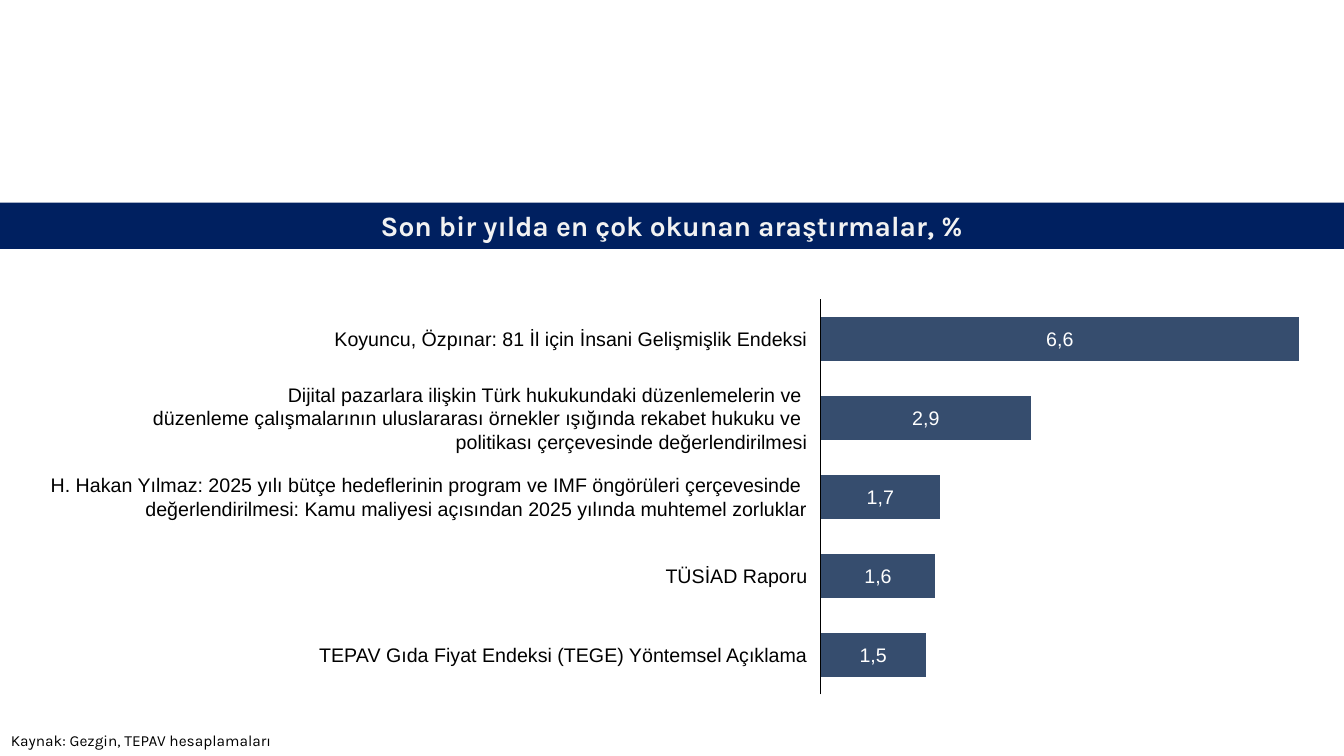
from lxml.etree import SubElement
from pptx import Presentation
from pptx.chart.data import CategoryChartData
from pptx.dml.color import RGBColor
from pptx.enum.chart import XL_CHART_TYPE, XL_TICK_LABEL_POSITION, XL_TICK_MARK
from pptx.enum.shapes import MSO_SHAPE
from pptx.enum.text import MSO_ANCHOR, MSO_AUTO_SIZE, PP_ALIGN
from pptx.oxml import parse_xml
from pptx.oxml.ns import nsdecls, qn
from pptx.util import Inches, Pt

NAVY = RGBColor(0x00, 0x20, 0x60)
SLATE = RGBColor(0x36, 0x4D, 0x6E)
PALE = RGBColor(0xF2, 0xF2, 0xF2)
WHITE = RGBColor(0xFF, 0xFF, 0xFF)
BLACK = RGBColor(0x00, 0x00, 0x00)

LEFT, TOP, WIDTH, HEIGHT = 8.05, 2.88, 4.93, 4.1
PLOT = {"x": 0.018, "y": 0.022, "w": 0.963, "h": 0.956}
LINE = 0.235
EDGE = 8.01
STUDIES = [
    ("Koyuncu, Özpınar: 81 İl için İnsani Gelişmişlik Endeksi", 4.67, 100, "6,6"),
    ("Dijital pazarlara ilişkin Türk hukukundaki düzenlemelerin ve \n"
     "düzenleme çalışmalarının uluslararası örnekler ışığında rekabet hukuku ve \n"
     "politikası çerçevesinde değerlendirilmesi", 6.45, 44, "2,9"),
    ("H. Hakan Yılmaz: 2025 yılı bütçe hedeflerinin program ve IMF öngörüleri çerçevesinde \n"
     "değerlendirilmesi: Kamu maliyesi açısından 2025 yılında muhtemel zorluklar",
     7.47, 25, "1,7"),
    ("TÜSİAD Raporu", 1.4, 24, "1,6"),
    ("TEPAV Gıda Fiyat Endeksi (TEGE) Yöntemsel Açıklama", 4.87, 22, "1,5"),
]


def write(frame, text, size=14, font="Arial", color=BLACK, bold=False,
          align=PP_ALIGN.LEFT, anchor=MSO_ANCHOR.MIDDLE, wrap=False, inset=None):
    """Fill a text frame with one formatted paragraph."""
    frame.auto_size = MSO_AUTO_SIZE.NONE
    frame.word_wrap = wrap
    frame.vertical_anchor = anchor
    if inset is not None:
        frame.margin_left = frame.margin_right = Inches(inset)
        frame.margin_top = frame.margin_bottom = Inches(0)
    para = frame.paragraphs[0]
    para.alignment = align
    for index, line in enumerate(text.split("\n")):
        if index:
            para.add_line_break()
        run = para.add_run()
        run.text = line
        run.font.size, run.font.name, run.font.bold = Pt(size), font, bold
        run.font.color.rgb = color


def add_text(slide, box, text, **style):
    """Add a text box at the given left, top, width and height."""
    shape = slide.shapes.add_textbox(*map(Inches, box))
    write(shape.text_frame, text, **style)


def add_band(slide, box, text):
    """Add the coloured title band."""
    band = slide.shapes.add_shape(MSO_SHAPE.RECTANGLE, *map(Inches, box))
    band.shadow.inherit = False
    band.fill.solid()
    band.fill.fore_color.rgb = NAVY
    band.line.fill.background()
    write(band.text_frame, text, size=20, font="Karla", color=PALE, bold=True,
          align=PP_ALIGN.CENTER, wrap=True)


def set_plot(chart):
    """Fix the inner plot area inside the chart frame."""
    area = chart.element.find(".//" + qn("c:plotArea"))
    for old in area.findall(qn("c:layout")):
        area.remove(old)
    layout = parse_xml(f"<c:layout {nsdecls('c')}><c:manualLayout/></c:layout>")
    parts = [("layoutTarget", "inner"), ("xMode", "edge"), ("yMode", "edge")]
    for name, value in parts + list(PLOT.items()):
        SubElement(layout[0], qn("c:" + name)).set("val", str(value))
    area.insert(0, layout)


def add_bars(slide):
    """Add the bar chart of reading shares."""
    data = CategoryChartData()
    data.categories = [str(rank + 1) for rank in range(len(STUDIES))]
    data.add_series("Series 1", [study[2] for study in STUDIES])
    box = map(Inches, (LEFT, TOP, WIDTH, HEIGHT))
    chart = slide.shapes.add_chart(XL_CHART_TYPE.BAR_STACKED, *box, data).chart
    chart.has_legend = chart.has_title = False
    chart.font.size, chart.font.name = Pt(10), "Karla"
    chart.font.color.rgb = BLACK
    plot = chart.plots[0]
    plot.gap_width, plot.overlap, plot.vary_by_categories = 80, 100, False
    fill = plot.series[0].format.fill
    fill.solid()
    fill.fore_color.rgb = SLATE
    axis = chart.category_axis
    axis.reverse_order = True
    axis.tick_label_position = XL_TICK_LABEL_POSITION.NONE
    axis.major_tick_mark = axis.minor_tick_mark = XL_TICK_MARK.NONE
    axis.format.line.color.rgb = BLACK
    axis.format.line.width = Pt(0.75)
    scale = chart.value_axis
    scale.minimum_scale, scale.maximum_scale = 0, 100
    scale.has_major_gridlines = scale.visible = False
    set_plot(chart)


def add_labels(slide):
    """Add each study's name and share, centred on its bar."""
    start, span = LEFT + WIDTH * PLOT["x"], WIDTH * PLOT["w"]
    step = HEIGHT * PLOT["h"] / len(STUDIES)
    for row, (name, width, value, share) in enumerate(STUDIES):
        middle = TOP + HEIGHT * PLOT["y"] + step * (row + 0.5)
        tall = LINE * (name.count("\n") + 1)
        add_text(slide, (EDGE - width, middle - tall / 2, width, tall), name,
                 align=PP_ALIGN.RIGHT, inset=0)
        center = start + span * value / 200
        add_text(slide, (center - 0.16, middle - LINE / 2, 0.32, LINE), share,
                 color=WHITE, align=PP_ALIGN.CENTER, inset=0.03)


def main():
    """Build and save the slide."""
    deck = Presentation()
    deck.slide_width, deck.slide_height = Inches(13.33), Inches(7.5)
    slide = deck.slides.add_slide(deck.slide_layouts[6])
    add_band(slide, (0, 2.01, 13.33, 0.46),
             "Son bir yılda en çok okunan araştırmalar, %")
    add_bars(slide)
    add_labels(slide)
    add_text(slide, (0.01, 7.2, 13.33, 0.29), "Kaynak: Gezgin, TEPAV hesaplamaları",
             size=11, font="Karla", anchor=MSO_ANCHOR.TOP, wrap=True)
    deck.save("out.pptx")


if __name__ == "__main__":
    main()
